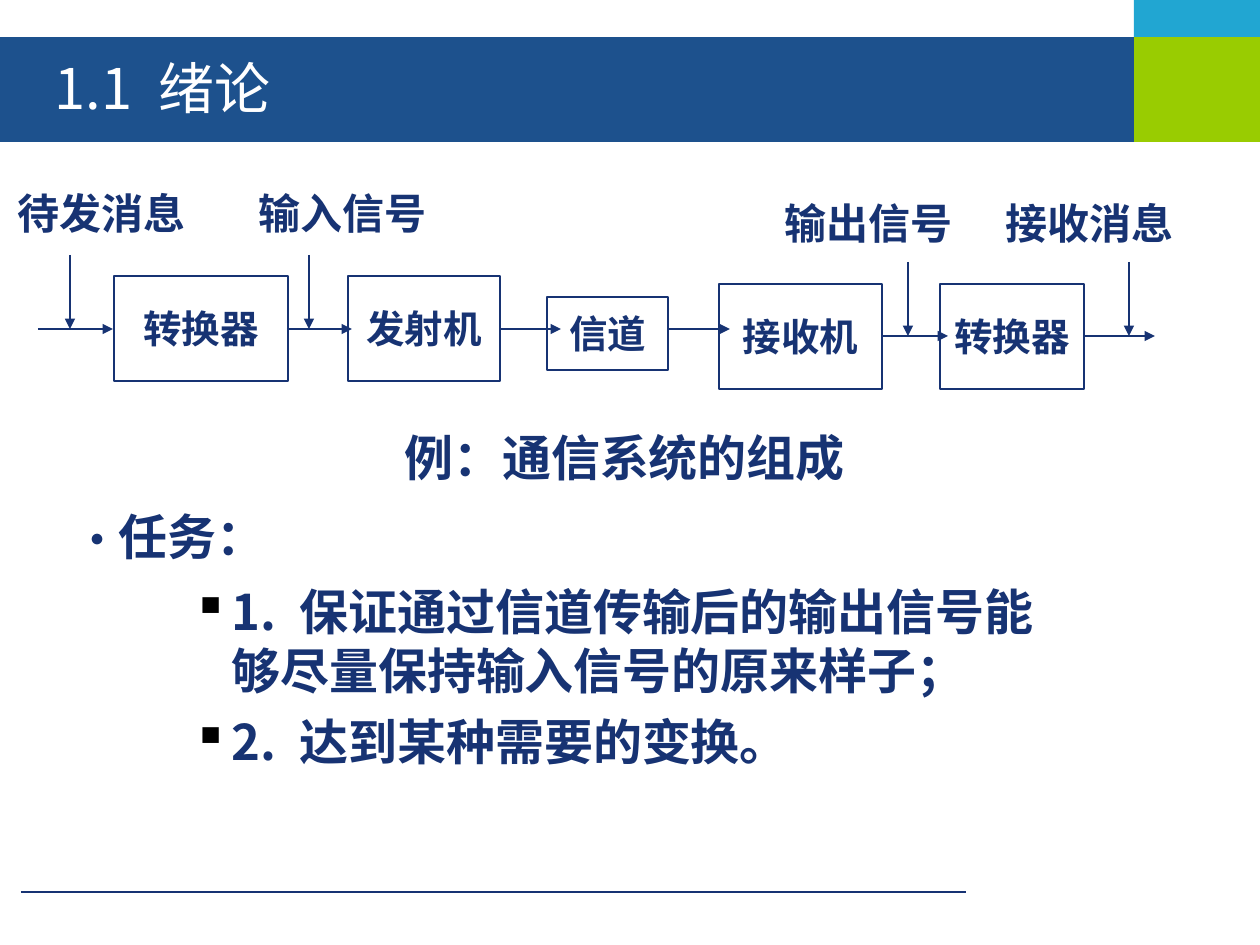
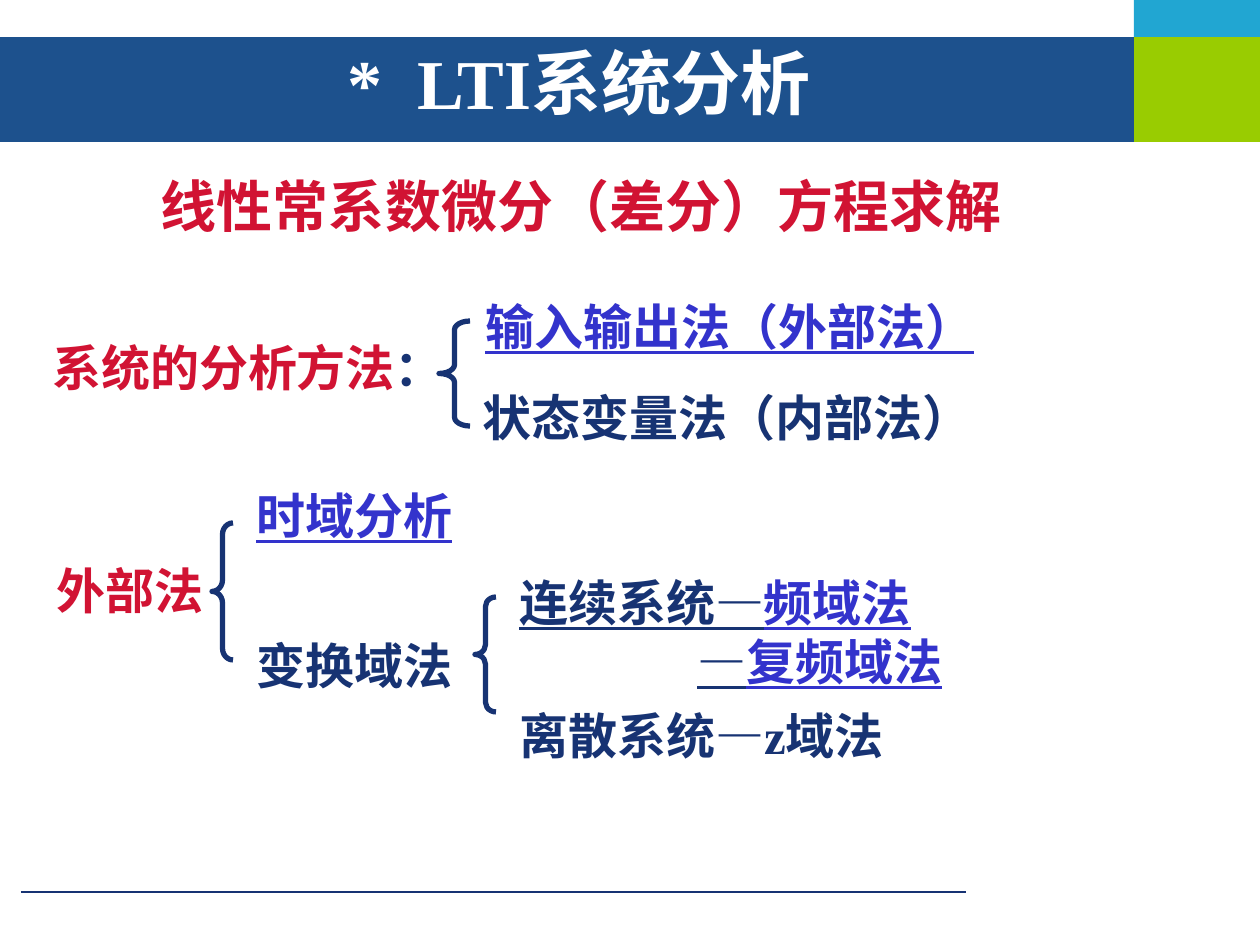
import pptx
import pptx.dml.color
import pptx.enum.shapes
import pptx.enum.text
import pptx.util
import lxml.etree

PX = 7257  # EMU in one px, 126 px to the inch
NAVY, RED, BLUE, WHITE = "173373", "D11333", "3333CC", "FFFFFF"
BAND, GREEN, CYAN = "1D518D", "99CC01", "21A6D2"
SERIF, SANS = "Times New Roman", "Noto Sans CJK SC"
LINE_WIDTH = pptx.util.Pt(0.75)

rgb = pptx.dml.color.RGBColor.from_string
qn = pptx.oxml.ns.qn
SHAPE = pptx.enum.shapes.MSO_SHAPE
ANCHOR = pptx.enum.text.MSO_ANCHOR
CENTER = pptx.enum.text.PP_ALIGN.CENTER


def line(s, x1, y1, x2, y2, arrow=True):
    c = s.shapes.add_connector(
        pptx.enum.shapes.MSO_CONNECTOR.STRAIGHT, x1 * PX, y1 * PX, x2 * PX, y2 * PX)
    c.line.color.rgb = rgb(NAVY)
    c.line.width = LINE_WIDTH
    if arrow:
        lxml.etree.SubElement(c.line._get_or_add_ln(), qn("a:tailEnd"), type="triangle")
    lxml.etree.SubElement(c._element.spPr, qn("a:effectLst"))


def text(sp, paragraphs, size, font=SERIF, bold=True, align=None):
    """Fill a shape with paragraphs of (text, colour, underlined) runs.

    A run that is one space is widened to twice its width.
    """
    tf = sp.text_frame
    tf.word_wrap = True
    for i, runs in enumerate(paragraphs):
        p = tf.paragraphs[0] if i == 0 else tf.add_paragraph()
        p.alignment = align
        for words, color, underlined in runs:
            r = p.add_run()
            r.text = words
            r.font.size = pptx.util.Pt(size)
            r.font.bold = bold
            r.font.name = font
            r.font.color.rgb = rgb(color)
            if underlined:
                r.font.underline = True
            rPr = r._r.get_or_add_rPr()
            lxml.etree.SubElement(rPr, qn("a:ea"), typeface=SANS)
            if words == " ":
                rPr.set("spc", str(size * 25))
    return tf


prs = pptx.Presentation()
prs.slide_width = pptx.util.Inches(10)
prs.slide_height = pptx.util.Inches(7.5)

# Bands, title and footer rule
titles = [
    ((42, 48, 903, 78), [("1.1", WHITE, False), (" ", WHITE, False), ("绪论", WHITE, False)],
     dict(size=32, font=SANS, bold=False)),
    ((154, 45, 850, 73), [("*", WHITE, False), (" ", WHITE, False), ("LTI系统分析", WHITE, False)],
     dict(size=40, align=CENTER)),
]
bands = [
    ((1134, 0, 126, 136), CYAN),
    ((0, 37, 1260, 105), GREEN),
    ((0, 37, 1134, 105), BAND),
]
for title_box, runs, style in titles:
    s = prs.slides.add_slide(prs.slide_layouts[6])
    for box, color in bands:
        sp = s.shapes.add_shape(SHAPE.RECTANGLE, *[v * PX for v in box])
        sp.shadow.inherit = False
        sp.fill.solid()
        sp.fill.fore_color.rgb = rgb(color)
        sp.line.fill.background()
    line(s, 21, 892, 966, 892, arrow=False)
    sp = s.shapes.add_textbox(*[v * PX for v in title_box])
    text(sp, [runs], **style).vertical_anchor = ANCHOR.MIDDLE

# Slide 1: parts of a communication system
s = prs.slides[0]
SEND_Y, RECEIVE_Y = 329, 336

blocks = [
    ("转换器", 114, 276, 174, 105),
    ("发射机", 348, 276, 152, 105),
    ("信道", 547, 297, 121, 73),
    ("接收机", 719, 284, 163, 105),
    ("转换器", 940, 284, 144, 105),
]
for name, *box in blocks:
    sp = s.shapes.add_shape(SHAPE.RECTANGLE, *[v * PX for v in box])
    sp.shadow.inherit = False
    sp.fill.background()
    sp.line.color.rgb = rgb(NAVY)
    sp.line.width = LINE_WIDTH
    tf = text(sp, [[(name, NAVY, False)]], 22, align=CENTER)
    tf.vertical_anchor = ANCHOR.MIDDLE
    tf.word_wrap = False

for x1, x2 in [(38, 113), (287, 352), (500, 561), (669, 730)]:
    line(s, x1, SEND_Y, x2, SEND_Y)
for x1, x2 in [(882, 948), (1084, 1155)]:
    line(s, x1, RECEIVE_Y, x2, RECEIVE_Y)

signals = [
    ("待发消息", 5, 181, 70, SEND_Y),
    ("输入信号", 246, 181, 309, SEND_Y),
    ("输出信号", 772, 191, 908, RECEIVE_Y),
    ("接收消息", 993, 191, 1129, RECEIVE_Y),
]
for name, x, y, arrow_x, flow_y in signals:
    line(s, arrow_x, flow_y - 74, arrow_x, flow_y)
    sp = s.shapes.add_textbox(x * PX, y * PX, 210 * PX, 63 * PX)
    text(sp, [[(name, NAVY, False)]], 24)

sp = s.shapes.add_textbox(392 * PX, 421 * PX, 546 * PX, 72 * PX)
text(sp, [[("例：通信系统的组成", NAVY, False)]], 28)

sp = s.shapes.add_textbox(64 * PX, 500 * PX, 346 * PX, 72 * PX)
tf = text(sp, [[("•", NAVY, False), ("任务：", NAVY, False)]], 28, font=SANS)
bullet = tf.paragraphs[0].runs[0]
bullet.font.name = "Courier New"
bullet.font.size = pptx.util.Pt(24)

tasks = ["保证通过信道传输后的输出信号能够尽量保持输入信号的原来样子；", "达到某种需要的变换。"]
sp = s.shapes.add_textbox(117 * PX, 575 * PX, 966 * PX, 285 * PX)
tf = text(sp, [[(f"{n}.", NAVY, False), (" ", NAVY, False), (task, NAVY, False)]
               for n, task in enumerate(tasks, 1)], 28, font=SANS)
tf.paragraphs[1].space_before = pptx.util.Pt(7)
for p in tf.paragraphs:
    pPr = p._p.get_or_add_pPr()
    pPr.set("marL", str(102 * PX))
    pPr.set("indent", str(-39 * PX))
    buClr = lxml.etree.SubElement(pPr, qn("a:buClr"))
    lxml.etree.SubElement(buClr, qn("a:srgbClr"), val="000000")
    lxml.etree.SubElement(pPr, qn("a:buChar"), char="▪")

# Slide 2: tree of analysis methods
s = prs.slides[1]

sp = s.shapes.add_textbox(95 * PX, 165 * PX, 973 * PX, 81 * PX)
text(sp, [[("线性常系数微分（差分）方程求解", RED, False)]], 32, align=CENTER)

methods = [
    (40, 331, 492, [("系统的分析方法", RED, False), ("：", NAVY, False)]),
    (473, 290, 604, [("输入输出法（外部法）", BLUE, True)]),
    (470, 381, 577, [("状态变量法（内部法）", NAVY, False)]),
    (44, 554, 268, [("外部法", RED, False)]),
    (244, 479, 357, [("时域分析", BLUE, True)]),
    (244, 629, 277, [("变换域法", NAVY, False)]),
    (507, 699, 471, [("离散系统—z域法", NAVY, False)]),
]
for x, y, w, runs in methods:
    sp = s.shapes.add_textbox(x * PX, y * PX, w * PX, 72 * PX)
    text(sp, [runs], 28)

sp = s.shapes.add_textbox(507 * PX, 566 * PX, 530 * PX, 131 * PX)
tf = text(sp, [[("连续系统—", NAVY, True), ("频域法", BLUE, True)],
               [("—", NAVY, True), ("复频域法", BLUE, True)]], 28)
tf.paragraphs[1]._p.get_or_add_pPr().set("marL", str(178 * PX))

for x, y, w, h in [(439, 321, 31, 105), (212, 523, 21, 137), (475, 597, 21, 115)]:
    sp = s.shapes.add_shape(SHAPE.LEFT_BRACE, x * PX, y * PX, w * PX, h * PX)
    sp.shadow.inherit = False
    sp.adjustments[0] = h / 12 / w
    sp.fill.background()
    sp.line.color.rgb = rgb(NAVY)
    sp.line.width = pptx.util.Pt(3)

prs.save("out.pptx")
